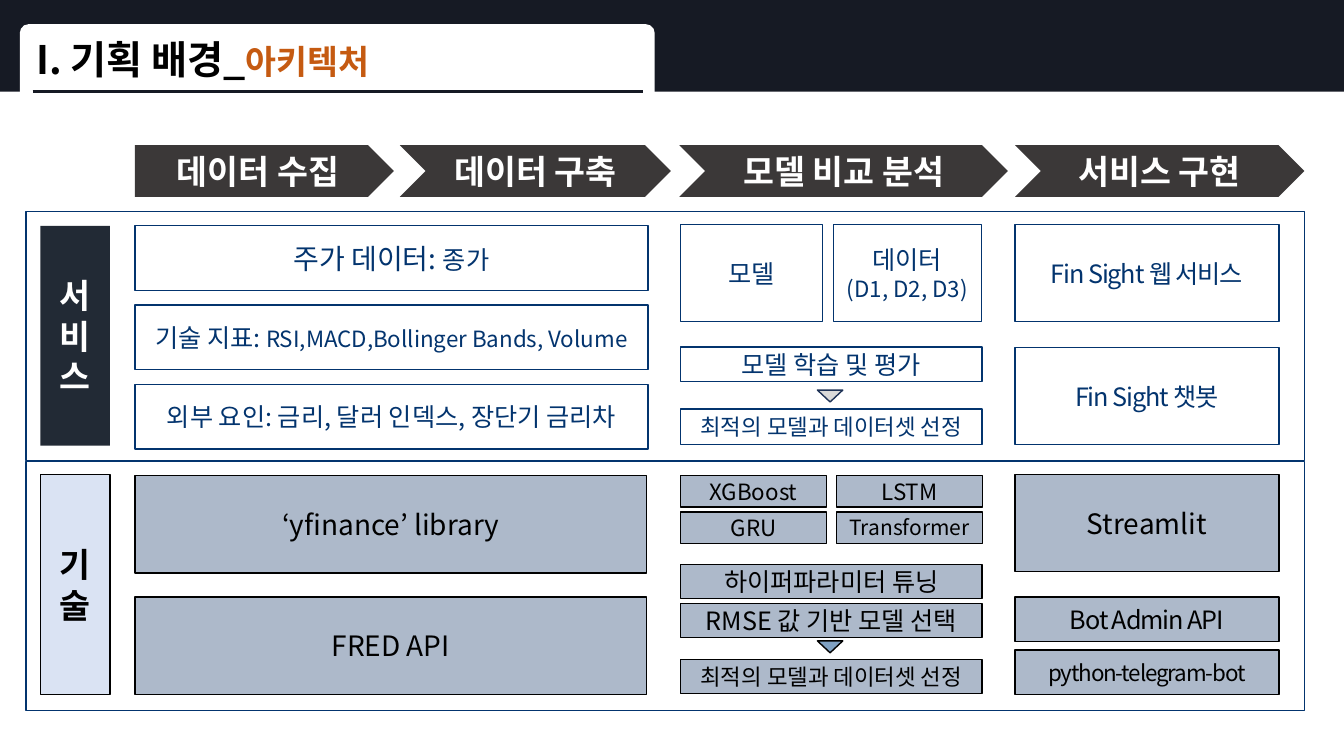
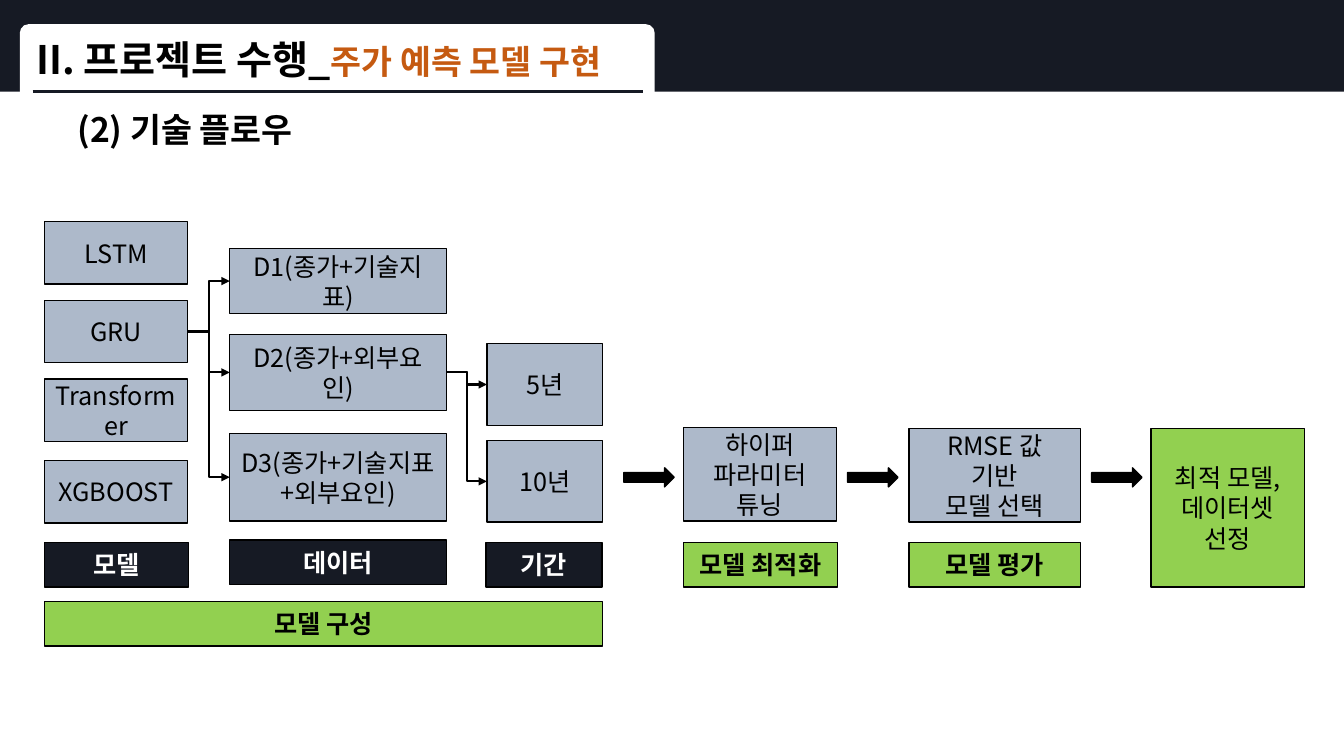
import pptx
import pptx.util
import pptx.dml.color
import pptx.enum.shapes
import pptx.enum.text
import pptx.oxml.ns
import lxml.etree

Cm = pptx.util.Cm
Pt = pptx.util.Pt
RGBColor = pptx.dml.color.RGBColor
Shape = pptx.enum.shapes.MSO_SHAPE
Connector = pptx.enum.shapes.MSO_CONNECTOR
Anchor = pptx.enum.text.MSO_ANCHOR
Align = pptx.enum.text.PP_ALIGN
qn = pptx.oxml.ns.qn

FONT = "Noto Sans CJK KR"
BLACK = RGBColor(0x00, 0x00, 0x00)
WHITE = RGBColor(0xFF, 0xFF, 0xFF)
NIGHT = RGBColor(0x16, 0x1A, 0x24)
SLATE = RGBColor(0x22, 0x2A, 0x35)
CHARCOAL = RGBColor(0x3B, 0x38, 0x38)
NAVY = RGBColor(0x03, 0x34, 0x6E)
ORANGE = RGBColor(0xC5, 0x5A, 0x11)
STEEL = RGBColor(0xAD, 0xB9, 0xCA)
PALE_BLUE = RGBColor(0xDA, 0xE3, 0xF3)
LIGHT_GRAY = RGBColor(0xD9, 0xD9, 0xD9)
MARKER_EDGE = RGBColor(0x1E, 0x32, 0x56)
MARKER_BLUE = RGBColor(0x7F, 0xA1, 0xC3)
GREEN = RGBColor(0x92, 0xD0, 0x50)


def add_run(paragraph, text, size=18, color=BLACK, bold=False, spacing=None):
    run = paragraph.add_run()
    run.text = text
    run.font.size = Pt(size)
    run.font.name = FONT
    run.font.bold = bold
    run.font.color.rgb = color
    properties = run.font._element
    lxml.etree.SubElement(properties, qn("a:ea")).set("typeface", FONT)
    if spacing:
        properties.set("spc", str(round(spacing * 100)))


def add_box(slide, x, y, w, h, text="", kind=Shape.RECTANGLE, fill=None, line=None, **text_format):
    box = slide.shapes.add_shape(kind, Cm(x), Cm(y), Cm(w), Cm(h))
    box.shadow.inherit = False
    if fill is None:
        box.fill.background()
    else:
        box.fill.solid()
        box.fill.fore_color.rgb = fill
    if line is None:
        box.line.fill.background()
    else:
        box.line.color.rgb = line
        box.line.width = Pt(1)
    frame = box.text_frame
    frame.vertical_anchor = Anchor.MIDDLE
    for number, words in enumerate(text.split("\n") if text else []):
        paragraph = frame.add_paragraph() if number else frame.paragraphs[0]
        paragraph.alignment = Align.CENTER
        add_run(paragraph, words, **text_format)
    return box


deck = pptx.Presentation()
deck.slide_width = Cm(33.87)
deck.slide_height = Cm(19.05)

layout = deck.slide_layouts[5]
for placeholder in list(layout.placeholders):
    if placeholder.placeholder_format.idx:
        placeholder.element.getparent().remove(placeholder.element)
layout_title = layout.placeholders[0]
layout_title.left, layout_title.top = Cm(0.66), Cm(0.76)
layout_title.width, layout_title.height = Cm(16.94), Cm(1.45)

architecture = deck.slides.add_slide(layout)
flow = deck.slides.add_slide(layout)

band = add_box(architecture, 0, 0, 33.87, 2.31, fill=NIGHT)
tab = add_box(architecture, 0.5, 0.61, 16, 2.08, kind=Shape.ROUNDED_RECTANGLE, fill=WHITE)
tab.adjustments[0] = 0.106
rule = architecture.shapes.add_connector(Connector.STRAIGHT, Cm(0.82), Cm(2.31), Cm(16.2), Cm(2.31))
rule.line.color.rgb = NIGHT
rule.line.width = Pt(1.75)
lxml.etree.SubElement(rule.element.spPr, qn("a:effectLst"))
for part in (band, tab, rule):
    layout_title.element.addprevious(part.element)

for slide, section, topic in (
    (architecture, "I. 기획 배경_", "아키텍처"),
    (flow, "II. 프로젝트 수행_", "주가 예측 모델 구현"),
):
    heading = slide.shapes.title.text_frame
    heading.auto_size = pptx.enum.text.MSO_AUTO_SIZE.NONE
    heading.vertical_anchor = Anchor.TOP
    heading.paragraphs[0].alignment = Align.LEFT
    add_run(heading.paragraphs[0], section, size=28, bold=True)
    add_run(heading.paragraphs[0], topic, size=24, color=ORANGE, bold=True)

for x, w, stage, kind in (
    (3.4, 6.53, "데이터 수집", Shape.PENTAGON),
    (10.08, 6.83, "데이터 구축", Shape.CHEVRON),
    (17.12, 8.28, "모델 비교 분석", Shape.CHEVRON),
    (25.58, 7.29, "서비스 구현", Shape.CHEVRON),
):
    add_box(architecture, x, 3.66, w, 1.3, stage, kind, CHARCOAL, size=24, color=WHITE, bold=True)

for y in (5.33, 11.63):
    add_box(architecture, 0.66, y, 32.21, 6.27, line=NAVY)
add_box(architecture, 1.02, 5.69, 1.75, 5.54, "서\n비\n스", fill=SLATE, size=24, color=WHITE, bold=True)
add_box(architecture, 1.02, 11.96, 1.75, 5.54, "기\n술", fill=PALE_BLUE, line=BLACK, size=24, bold=True)

for row, (label, label_size, detail, detail_size) in enumerate((
    ("주가 데이터: ", 20, "종가", 18),
    ("기술 지표: ", 18, "RSI,MACD,Bollinger Bands, Volume", 16),
    ("외부 요인: ", 18, "금리, 달러 인덱스, 장단기 금리차", 18),
)):
    source = add_box(architecture, 3.4, 5.69 + row * 2, 12.93, 1.63, label, line=NAVY, size=label_size, color=NAVY)
    add_run(source.text_frame.paragraphs[0], detail, size=detail_size, color=NAVY)

for x, y, w, h, text, size, spacing in (
    (17.15, 5.66, 3.58, 2.44, "모델", 18, None),
    (17.15, 8.74, 7.6, 0.87, "모델 학습 및 평가", 18, None),
    (17.15, 10.31, 7.6, 0.89, "최적의 모델과 데이터셋 선정", 16, None),
    (25.58, 5.66, 6.65, 2.44, "Fin Sight 웹 서비스", 18, -0.8),
    (25.58, 8.76, 6.65, 2.44, "Fin Sight 챗봇", 18, -0.8),
):
    add_box(architecture, x, y, w, h, text, line=NAVY, size=size, color=NAVY, spacing=spacing)

datasets = add_box(architecture, 21, 5.66, 3.73, 2.44, "데이터", line=NAVY, color=NAVY)
dataset_names = datasets.text_frame.add_paragraph()
dataset_names.alignment = Align.CENTER
add_run(dataset_names, "(D1, D2, D3)", size=16, color=NAVY)

for x, y, w, h, text, size, spacing in (
    (3.4, 11.98, 12.9, 2.46, "‘yfinance’ library", 20, None),
    (3.4, 15.04, 12.9, 2.46, "FRED API", 20, None),
    (17.15, 14.22, 7.6, 0.86, "하이퍼파라미터 튜닝", 18, None),
    (17.15, 15.21, 7.6, 0.86, "RMSE 값 기반 모델 선택", 18, None),
    (17.15, 16.62, 7.6, 0.86, "최적의 모델과 데이터셋 선정", 16, None),
    (25.58, 11.96, 6.65, 2.44, "Streamlit", 20, None),
    (25.58, 15.04, 6.65, 1.12, "Bot Admin API", 18, -0.8),
    (25.58, 16.38, 6.65, 1.12, "python-telegram-bot", 16, -0.8),
):
    add_box(architecture, x, y, w, h, text, fill=STEEL, line=BLACK, size=size, spacing=spacing)

for index, (model, size) in enumerate((("XGBoost", 16), ("LSTM", 16), ("GRU", 16), ("Transformer", 15))):
    row, column = divmod(index, 2)
    add_box(architecture, 17.15 + column * 3.93, 11.99 + row * 0.91, 3.68, 0.79, model,
            fill=STEEL, line=BLACK, size=size)

for y, fill, line in ((9.83, LIGHT_GRAY, MARKER_EDGE), (16.15, MARKER_BLUE, BLACK)):
    add_box(architecture, 20.6, y, 0.64, 0.3, kind=Shape.FLOWCHART_MERGE, fill=fill, line=line)

subtitle = flow.shapes.add_textbox(Cm(1.7), Cm(2.77), Cm(24.33), Cm(1.14)).text_frame
subtitle.word_wrap = True
subtitle.vertical_anchor = Anchor.BOTTOM
subtitle.paragraphs[0].line_spacing = 0.9
add_run(subtitle.paragraphs[0], "(2) 기술 플로우", size=24, bold=True)

steps = {}
for x, y, w, h, text in (
    (1.12, 5.59, 3.61, 1.57, "LSTM"),
    (1.12, 7.57, 3.61, 1.57, "GRU"),
    (1.12, 9.55, 3.61, 1.57, "Transformer"),
    (1.12, 11.61, 3.61, 1.57, "XGBOOST"),
    (5.79, 6.27, 5.46, 1.63, "D1(종가+기술지표)"),
    (5.79, 8.43, 5.46, 1.91, "D2(종가+외부요인)"),
    (5.79, 10.92, 5.46, 2.21, "D3(종가+기술지표\n+외부요인)"),
    (12.27, 8.66, 2.92, 2.06, "5년"),
    (12.27, 11.1, 2.92, 2.06, "10년"),
    (17.22, 10.77, 3.86, 2.36, "하이퍼\n파라미터\n튜닝"),
    (22.91, 10.8, 4.32, 2.36, "RMSE 값\n기반\n모델 선택"),
):
    steps[text[:2]] = add_box(flow, x, y, w, h, text, fill=STEEL, line=BLACK)
add_box(flow, 29.01, 10.8, 3.86, 3.99, "최적 모델,\n데이터셋\n선정", fill=GREEN, line=BLACK)

for x, y, w, label, fill, color in (
    (1.12, 13.67, 3.63, "모델", NIGHT, WHITE),
    (5.79, 13.61, 5.46, "데이터", NIGHT, WHITE),
    (12.25, 13.67, 2.92, "기간", NIGHT, WHITE),
    (17.22, 13.67, 3.89, "모델 최적화", GREEN, BLACK),
    (22.91, 13.67, 4.32, "모델 평가", GREEN, BLACK),
    (1.12, 15.16, 14.07, "모델 구성", GREEN, BLACK),
):
    add_box(flow, x, y, w, 1.12, label, fill=fill, line=BLACK, color=color, bold=True)

for x in (15.72, 21.36, 27.51):
    add_box(flow, x, 11.79, 1.27, 0.48, kind=Shape.RIGHT_ARROW, fill=BLACK, line=BLACK)

for origin, target in (("GR", "D1"), ("GR", "D2"), ("GR", "D3"), ("D2", "5년"), ("D2", "10")):
    link = flow.shapes.add_connector(Connector.ELBOW, 0, 0, 0, 0)
    link.begin_connect(steps[origin], 3)
    link.end_connect(steps[target], 1)
    link.line.color.rgb = BLACK
    link.line.width = Pt(1.5)
    outline = link.element.spPr.find(qn("a:ln"))
    lxml.etree.SubElement(outline, qn("a:tailEnd")).set("type", "triangle")
    lxml.etree.SubElement(link.element.spPr, qn("a:effectLst"))

deck.save("out.pptx")
